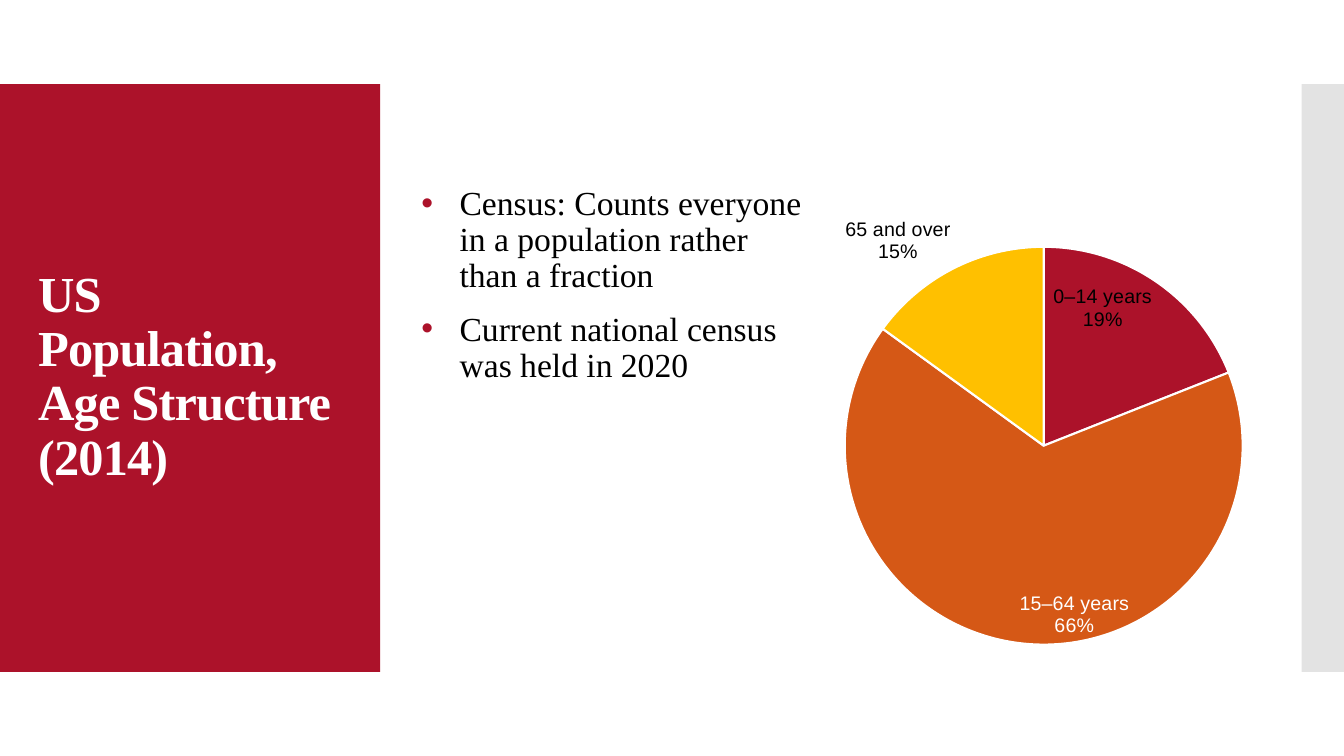
from lxml import etree
from pptx import Presentation
from pptx.chart.data import CategoryChartData
from pptx.dml.color import RGBColor
from pptx.enum.chart import XL_CHART_TYPE, XL_LABEL_POSITION
from pptx.enum.shapes import MSO_SHAPE
from pptx.enum.text import MSO_ANCHOR
from pptx.oxml.ns import qn
from pptx.util import Inches, Pt

PIE = XL_CHART_TYPE.PIE
INSIDE, OUTSIDE = XL_LABEL_POSITION.INSIDE_END, XL_LABEL_POSITION.OUTSIDE_END
RECTANGLE = MSO_SHAPE.RECTANGLE
TOP, MIDDLE = MSO_ANCHOR.TOP, MSO_ANCHOR.MIDDLE

# Content
TITLE = "US Population, Age Structure (2014)"
CENSUS_POINTS = [
    "Census:\u00a0Counts everyone in a population rather than a fraction",
    "Current national census was held in 2020",
]
RED, WHITE, BLACK = "AC122A", "FFFFFF", "000000"
AGE_GROUPS = [  # name, percent, slice colour, label colour, label position
    ("0–14 years", 19, RED, BLACK, INSIDE),
    ("15–64 years", 66, "D55816", WHITE, INSIDE),
    ("65 and over", 15, "FFC000", BLACK, OUTSIDE),
]
SERIF, SANS = "Times New Roman", "Arial"

# Geometry in inches
SLIDE_W, SLIDE_H = 13.33, 7.5
BAND_TOP, BAND_H = SLIDE_H / 9, SLIDE_H * 7 / 9
PANEL_W, STRIP_W = 3.77, 0.42
TITLE_BOX = (0.28, 1.23, 3.22, 5.03)
CENSUS_BOX = (4.08, 1.8, 4.02, 2.2)
CHART_BOX = (6.58, 1.92, 7.62, 4.63)
PIE_BOX = (8.38, 2.45, 3.95, 3.95)
BULLET_INDENT = 0.38


def rgb(color):
    return RGBColor.from_string(color)


def inches(box):
    return [Inches(length) for length in box]


def style(font, name, size, color, bold=False):
    font.name, font.size, font.bold = name, Pt(size), bold
    font.color.rgb = rgb(color)


def add_block(box, color):
    block = slide.shapes.add_shape(RECTANGLE, *inches(box))
    block.shadow.inherit = False
    block.fill.solid()
    block.fill.fore_color.rgb = rgb(color)
    block.line.fill.background()
    return block


def add_text(box, paragraphs, anchor, size, color, bold=False):
    frame = slide.shapes.add_textbox(*inches(box)).text_frame
    frame.word_wrap, frame.vertical_anchor = True, anchor
    for i, text in enumerate(paragraphs):
        paragraph = frame.add_paragraph() if i else frame.paragraphs[0]
        paragraph.line_spacing = 0.9
        paragraph.space_before = Pt(12 if i else 0)
        run = paragraph.add_run()
        run.text = text
        style(run.font, SERIF, size, color, bold)
    return frame.paragraphs


def add_bullet(paragraph, color):
    props = paragraph._p.get_or_add_pPr()
    props.set("marL", str(Inches(BULLET_INDENT)))
    props.set("indent", str(-Inches(BULLET_INDENT)))
    bullet_color = etree.SubElement(props, qn("a:buClr"))
    etree.SubElement(bullet_color, qn("a:srgbClr"), val=color)
    etree.SubElement(props, qn("a:buFont"), typeface=SANS)
    etree.SubElement(props, qn("a:buChar"), char="•")


def show_name_and_percent(label):
    for tag, shown in (("showVal", "0"), ("showCatName", "1"), ("showPercent", "1")):
        label.find(qn("c:" + tag)).set("val", shown)
    separator = etree.Element(qn("c:separator"))
    separator.text = "\n"
    label.append(separator)


def place_pie(chart):
    plot_area = chart._chartSpace.chart.plotArea
    layout = plot_area.find(qn("c:layout"))
    if layout is None:
        layout = etree.Element(qn("c:layout"))
        plot_area.insert(0, layout)
    manual = etree.SubElement(layout, qn("c:manualLayout"))
    left, top, width, height = CHART_BOX
    x, y, w, h = PIE_BOX
    settings = {
        "layoutTarget": "inner", "xMode": "edge", "yMode": "edge",
        "x": (x - left) / width, "y": (y - top) / height,
        "w": w / width, "h": h / height,
    }
    for tag, value in settings.items():
        text = value if isinstance(value, str) else f"{value:.3f}"
        etree.SubElement(manual, qn("c:" + tag), val=text)


prs = Presentation()
prs.slide_width, prs.slide_height = Inches(SLIDE_W), Inches(SLIDE_H)
slide = prs.slides.add_slide(prs.slide_layouts[6])

# Side panels
add_block((0, BAND_TOP, PANEL_W, BAND_H), RED)
strip = add_block((SLIDE_W - STRIP_W, BAND_TOP, STRIP_W, BAND_H), "C8C8C8")
strip_color = strip._element.spPr.find(qn("a:solidFill")).find(qn("a:srgbClr"))
etree.SubElement(strip_color, qn("a:alpha"), val="50000")

# Title
title = add_text(TITLE_BOX, [TITLE], MIDDLE, 36, WHITE, bold=True)[0]
title.runs[0]._r.get_or_add_rPr().set("spc", "-60")

# Census bullets
for point in add_text(CENSUS_BOX, CENSUS_POINTS, TOP, 24, BLACK):
    add_bullet(point, RED)

# Age structure pie
ages = CategoryChartData()
ages.categories = [group[0] for group in AGE_GROUPS]
ages.add_series("Series 1", [group[1] for group in AGE_GROUPS])
chart = slide.shapes.add_chart(PIE, *inches(CHART_BOX), ages).chart
chart.has_legend = chart.has_title = False
style(chart.font, SANS, 10, BLACK)
chart.plots[0].vary_by_categories = True
place_pie(chart)

age_series = chart.plots[0].series[0]
for i, (_, _, slice_color, label_color, position) in enumerate(AGE_GROUPS):
    age_slice = age_series.points[i]
    age_slice.format.fill.solid()
    age_slice.format.fill.fore_color.rgb = rgb(slice_color)
    age_slice.format.line.color.rgb = rgb(WHITE)
    age_slice.format.line.width = Pt(1.5)
    style(age_slice.data_label.font, SANS, 14, label_color)
    age_slice.data_label.position = position
for label in age_series._element.iter(qn("c:dLbl")):
    show_name_and_percent(label)

prs.save("out.pptx")
